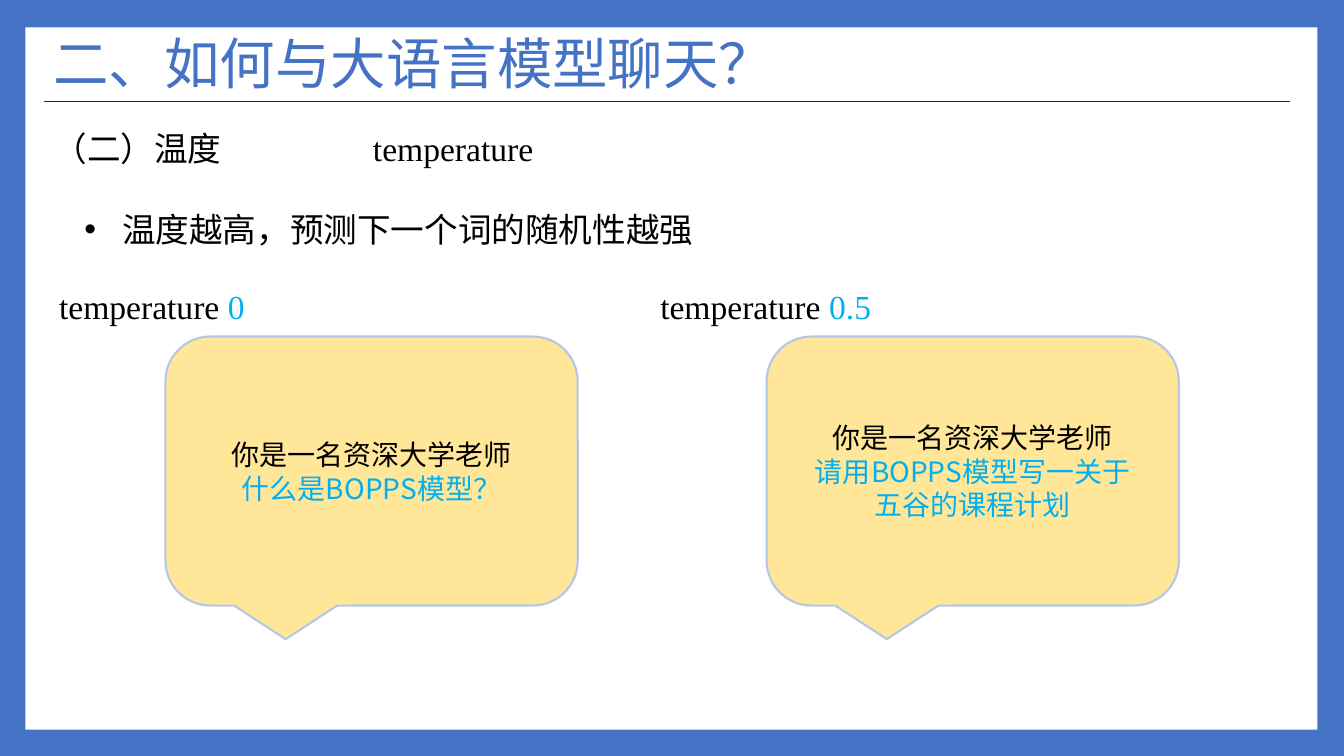
from dataclasses import dataclass

from lxml.etree import SubElement
from pptx import Presentation
from pptx.dml.color import RGBColor
from pptx.enum.shapes import MSO_CONNECTOR, MSO_SHAPE
from pptx.enum.text import MSO_ANCHOR as Anchor, PP_ALIGN as Align
from pptx.oxml.ns import qn
from pptx.shapes.autoshape import Shape
from pptx.slide import Slide
from pptx.text.text import TextFrame
from pptx.util import Cm, Pt

BLUE = RGBColor(0x44, 0x72, 0xC4)
WHITE = RGBColor(0xFF, 0xFF, 0xFF)
RULE_GREY = RGBColor(0x26, 0x26, 0x26)
BLACK = RGBColor(0, 0, 0)
CYAN = RGBColor(0x00, 0xB0, 0xF0)
SAND = RGBColor(0xFF, 0xE6, 0x99)
PALE_BLUE = RGBColor(0xB4, 0xC7, 0xE7)
SANS = "Noto Sans CJK SC"
SERIF = "Times New Roman"
COLUMN_STEP = 15.15

Run = tuple[str, RGBColor]


@dataclass(frozen=True)
class Example:
    """One temperature setting with its prompt."""
    temperature: str
    label_width: float
    question: tuple[str, ...]


EXAMPLES = [
    Example("0", 5.23, ("什么是BOPPS模型？",)),
    Example("0.5", 5.87, ("请用BOPPS模型写一关于", "五谷的课程计划")),
]


def write(frame: TextFrame, lines: list[list[Run]], *, size: float, font: str = SERIF,
          spacing: float = 1.0, align: Align = Align.LEFT,
          anchor: Anchor = Anchor.TOP, wrap: bool = True) -> None:
    """Fill a text frame with paragraphs of coloured runs."""
    frame.word_wrap = wrap
    frame.vertical_anchor = anchor
    for index, line in enumerate(lines):
        paragraph = frame.add_paragraph() if index else frame.paragraphs[0]
        paragraph.alignment = align
        paragraph.line_spacing = spacing
        for text, color in line:
            run = paragraph.add_run()
            run.text = text
            run.font.size = Pt(size)
            run.font.name = font
            run.font.color.rgb = color
            SubElement(run.font._element, qn("a:ea"), typeface=SANS)


def add_text(slide: Slide, left: float, top: float, width: float, height: float) -> TextFrame:
    return slide.shapes.add_textbox(Cm(left), Cm(top), Cm(width), Cm(height)).text_frame


def add_panel(slide: Slide, kind: MSO_SHAPE, left: float, top: float, width: float,
              height: float, fill: RGBColor) -> Shape:
    panel = slide.shapes.add_shape(kind, Cm(left), Cm(top), Cm(width), Cm(height))
    panel.shadow.inherit = False
    panel.fill.solid()
    panel.fill.fore_color.rgb = fill
    panel.line.fill.background()
    return panel


def add_example(slide: Slide, example: Example, offset: float) -> None:
    callout = add_panel(slide, MSO_SHAPE.ROUNDED_RECTANGULAR_CALLOUT,
                        4.17 + offset, 8.48, 10.39, 6.78, SAND)
    callout.line.color.rgb = PALE_BLUE
    callout.line.width = Pt(1.5)
    prompt = [[("你是一名资深大学老师", BLACK)]]
    prompt += [[(line, CYAN)] for line in example.question]
    write(callout.text_frame, prompt, size=20, font=SANS,
          align=Align.CENTER, anchor=Anchor.MIDDLE)

    label = add_text(slide, 1.24 + offset, 7.09, example.label_width, 1.28)
    write(label, [[("temperature ", BLACK), (example.temperature, CYAN)]],
          size=24, wrap=False)


def main() -> None:
    deck = Presentation()
    deck.slide_width, deck.slide_height = Cm(33.87), Cm(19.05)
    slide = deck.slides.add_slide(deck.slide_layouts[6])

    # Blue border around a white page
    slide.background.fill.solid()
    slide.background.fill.fore_color.rgb = BLUE
    add_panel(slide, MSO_SHAPE.RECTANGLE, 0.64, 0.69, 32.56, 17.7, WHITE)

    # Title and its rule
    rule = slide.shapes.add_connector(MSO_CONNECTOR.STRAIGHT,
                                      Cm(1.1), Cm(2.56), Cm(32.5), Cm(2.56))
    rule.line.color.rgb = RULE_GREY
    rule.line.width = Pt(1)
    SubElement(rule._element.spPr, qn("a:effectLst"))
    title = add_text(slide, 1.1, 0.76, 31.4, 1.83)
    write(title, [[("二、如何与大语言模型聊天？", BLUE)]], size=39.6, font=SANS,
          spacing=0.9, anchor=Anchor.MIDDLE)

    # Section heading, with the English term at a tab stop
    heading = add_text(slide, 1.1, 2.59, 12.93, 1.6)
    write(heading, [[("（二）温度\ttemperature", BLACK)]], size=24, spacing=1.5)
    tabs = SubElement(heading.paragraphs[0]._p.get_or_add_pPr(), qn("a:tabLst"))
    SubElement(tabs, qn("a:tab"), pos=str(Cm(8.05)), algn="l")

    # Bulleted rule of thumb
    principle = add_text(slide, 1.88, 4.62, 15.95, 1.6)
    write(principle, [[("温度越高，预测下一个词的随机性越强", BLACK)]],
          size=24, spacing=1.5, wrap=False)
    bullet = principle.paragraphs[0]._p.get_or_add_pPr()
    bullet.set("marL", str(Cm(0.95)))
    bullet.set("indent", str(-Cm(0.95)))
    SubElement(bullet, qn("a:buFont"), typeface="Arial")
    SubElement(bullet, qn("a:buChar"), char="•")

    # Temperature examples side by side
    for column, example in enumerate(EXAMPLES):
        add_example(slide, example, column * COLUMN_STEP)

    deck.save("out.pptx")


if __name__ == "__main__":
    main()
